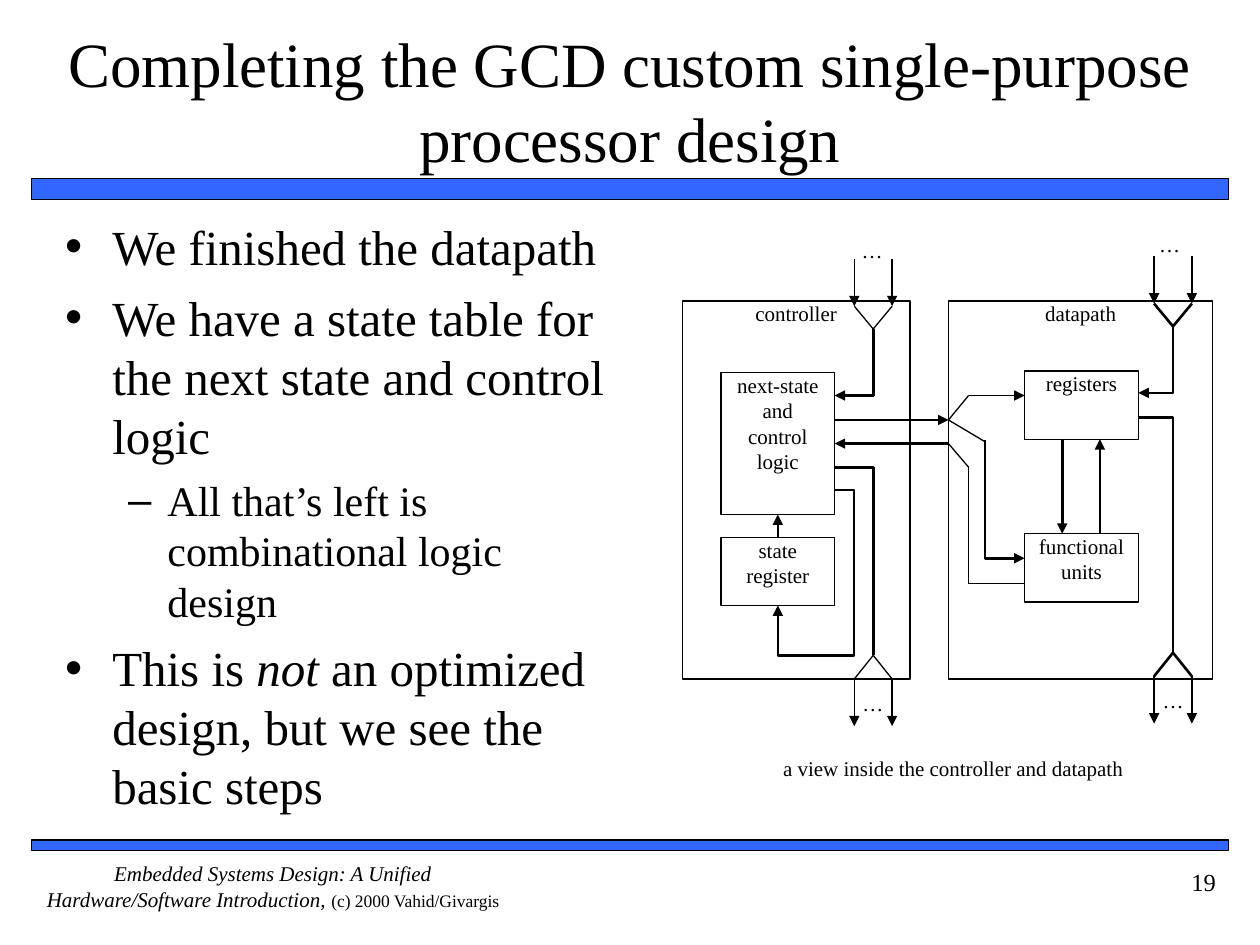
"""Build the slide on completing the GCD custom single-purpose processor design."""

from dataclasses import dataclass

import lxml.etree
import pptx
import pptx.dml.color
import pptx.enum.shapes
import pptx.enum.text
import pptx.oxml.ns
import pptx.util

Pt = pptx.util.Pt
ALIGN = pptx.enum.text.PP_ALIGN
ANCHOR = pptx.enum.text.MSO_ANCHOR
COLORS = {"ink": "000000", "bar": "3366FF"}
FONT = "Times New Roman"
THIN, MEDIUM, THICK = 0.75, 1.25, 1.5
PORT_HALF_WIDTH = 10.8
PORT_ARROW = 27


@dataclass(frozen=True)
class Area:
    left: float
    top: float
    width: float
    height: float


@dataclass(frozen=True)
class Block:
    text: str
    area: Area


@dataclass(frozen=True)
class Wire:
    points: tuple[tuple[float, float], ...]
    weight: float = THICK
    arrow: bool = False


@dataclass(frozen=True)
class Port:
    center: float
    apex: float
    base: float
    weight: float
    incoming: bool


@dataclass(frozen=True)
class Span:
    text: str
    size: float
    italic: bool = False


@dataclass(frozen=True)
class Bullet:
    spans: tuple[Span, ...]
    level: int = 0


@dataclass(frozen=True)
class BulletStyle:
    character: str
    margin: float
    indent: float
    space_before: float


BULLET_STYLES = (BulletStyle("•", 27, -27, 7), BulletStyle("–", 58.5, -22.5, 6))

BULLETS = (
    Bullet((Span("We finished the datapath", 28),)),
    Bullet((Span("We have a state table for the next state and control logic", 28),)),
    Bullet((Span("All that’s left is combinational logic design", 24),), 1),
    Bullet((
        Span("This is ", 28),
        Span("not", 28, True),
        Span(" an optimized design, but we see the basic steps", 28),
    )),
)

FOOTER = (
    Span("Embedded Systems Design: A Unified Hardware/Software Introduction, ", 12, True),
    Span("(c) 2000 Vahid/Givargis", 10),
)

BARS = (Area(18, 102, 684, 12), Area(18, 480, 684, 6))

LABELS = (
    Block("…", Area(487.5, 135.5, 21.6, 20)),
    Block("…", Area(657.5, 132.5, 21.6, 20)),
    Block("…", Area(488, 394.5, 21.6, 20)),
    Block("…", Area(659.5, 393, 21.6, 20)),
    Block("a view inside the controller and datapath", Area(396, 431.5, 297.5, 31)),
)

BLOCKS = (
    Block("controller", Area(390, 172, 130, 216)),
    Block("datapath", Area(542, 172, 151, 216)),
    Block("registers", Area(585.5, 212, 65, 39)),
    Block("functional\nunits", Area(585.5, 305, 65, 39)),
)
STATE_REGISTER = Block("state\nregister", Area(412, 307, 65, 39))
NEXT_STATE = Block("next-state\nand\ncontrol\nlogic", Area(412, 213, 65, 81))

PORTS = (
    Port(499, 188, 175, THIN, True),
    Port(499, 374.5, 388, THIN, False),
    Port(670.3, 186.5, 173.5, THICK, True),
    Port(670.3, 373, 386.5, THICK, False),
)

WIRES = (
    Wire(((477, 240), (542, 240)), arrow=True),
    Wire(((542, 253.5), (477, 253.5)), arrow=True),
    Wire(((477, 280), (488, 280), (488, 374.5), (444.5, 374.5), (444.5, 346)), arrow=True),
    Wire(((477, 267), (499, 267), (499, 374.5))),
    Wire(((499, 188), (499, 226), (477, 226)), arrow=True),
    Wire(((607, 251), (607, 305)), arrow=True),
    Wire(((628.5, 305), (628.5, 251)), arrow=True),
    Wire(((670.3, 186.5), (670.3, 224.5), (650.5, 224.5)), arrow=True),
    Wire(((650.5, 238.5), (670.3, 238.5), (670.3, 373))),
    Wire(((542, 240), (553.5, 226)), THIN),
    Wire(((542, 240), (563, 252.5)), THIN),
    Wire(((553.5, 226), (585.5, 226)), THIN, True),
    Wire(((563, 251.5), (563, 319), (585.5, 319)), arrow=True),
    Wire(((585.5, 333.5), (553.5, 333.5), (553.5, 266)), THIN),
    Wire(((553.5, 267), (542, 253.5)), THIN),
)


def color(name: str) -> pptx.dml.color.RGBColor:
    """Return a named colour."""
    return pptx.dml.color.RGBColor.from_string(COLORS[name])


def place(shape, area: Area) -> None:
    """Move and size a shape."""
    shape.left, shape.top = Pt(area.left), Pt(area.top)
    shape.width, shape.height = Pt(area.width), Pt(area.height)


def format_run(run, size: float, italic: bool = False) -> None:
    """Set the font of a run."""
    run.font.name, run.font.size, run.font.italic = FONT, Pt(size), italic
    run.font.color.rgb = color("ink")


def add_spans(paragraph, spans: tuple[Span, ...]) -> None:
    """Append formatted runs to a paragraph."""
    for span in spans:
        run = paragraph.add_run()
        run.text = span.text
        format_run(run, span.size, span.italic)


def set_frame(text_frame, anchor=ANCHOR.TOP, horizontal: float = 0, vertical: float = 0) -> None:
    """Set wrapping, anchor and margins of a text frame."""
    text_frame.word_wrap = True
    text_frame.auto_size = pptx.enum.text.MSO_AUTO_SIZE.NONE
    text_frame.vertical_anchor = anchor
    text_frame.margin_left = text_frame.margin_right = Pt(horizontal)
    text_frame.margin_top = text_frame.margin_bottom = Pt(vertical)


def set_text(shape, text: str, size: float = 12, alignment=ALIGN.CENTER) -> None:
    """Fill a shape with evenly formatted paragraphs."""
    shape.text_frame.text = text
    for paragraph in shape.text_frame.paragraphs:
        paragraph.alignment = alignment
        for run in paragraph.runs:
            format_run(run, size)


def set_line(shape, weight: float, arrow: bool = False) -> None:
    """Set the outline and an optional arrowhead at its end."""
    shape.line.width = Pt(weight)
    shape.line.color.rgb = color("ink")
    if arrow:
        lxml.etree.SubElement(shape.get_or_add_ln(), pptx.oxml.ns.qn("a:tailEnd"), type="triangle")


def add_text_box(slide, area: Area):
    """Add a wrapping text box."""
    shape = slide.shapes.add_textbox(Pt(area.left), Pt(area.top), Pt(area.width), Pt(area.height))
    set_frame(shape.text_frame)
    return shape


def add_rectangle(slide, area: Area, weight: float, fill: str = ""):
    """Add an outlined rectangle, filled when a colour is named."""
    shape = slide.shapes.add_shape(
        pptx.enum.shapes.MSO_SHAPE.RECTANGLE,
        Pt(area.left), Pt(area.top), Pt(area.width), Pt(area.height),
    )
    shape.shadow.inherit = False
    if fill:
        shape.fill.solid()
        shape.fill.fore_color.rgb = color(fill)
    else:
        shape.fill.background()
    set_line(shape, weight)
    return shape


def add_block(slide, block: Block):
    """Add a labelled block of the diagram."""
    shape = add_rectangle(slide, block.area, THIN)
    set_frame(shape.text_frame)
    set_text(shape, block.text)
    return shape


def add_wire(slide, wire: Wire):
    """Add a straight connector or a bent open outline."""
    points = [(Pt(x), Pt(y)) for x, y in wire.points]
    if len(points) == 2:
        shape = slide.shapes.add_connector(
            pptx.enum.shapes.MSO_CONNECTOR.STRAIGHT, *points[0], *points[1])
        set_line(shape, wire.weight, wire.arrow)
        lxml.etree.SubElement(shape._element.spPr, pptx.oxml.ns.qn("a:effectLst"))
        return shape
    builder = slide.shapes.build_freeform(*points[0])
    builder.add_line_segments(points[1:], close=False)
    shape = builder.convert_to_shape()
    shape.shadow.inherit = False
    shape.fill.background()
    set_line(shape, wire.weight, wire.arrow)
    return shape


def add_port(slide, port: Port) -> None:
    """Add a pair of arrows that meet at an apex inside a block."""
    for x in (port.center - PORT_HALF_WIDTH, port.center + PORT_HALF_WIDTH):
        start = port.base - PORT_ARROW if port.incoming else port.base
        add_wire(slide, Wire(((x, start), (x, start + PORT_ARROW)), port.weight, True))
        add_wire(slide, Wire(((x, port.base), (port.center, port.apex)), port.weight))


def add_bullets(text_frame) -> None:
    """Fill the body with the bulleted list."""
    for index, bullet in enumerate(BULLETS):
        paragraph = text_frame.add_paragraph() if index else text_frame.paragraphs[0]
        style = BULLET_STYLES[bullet.level]
        paragraph.level = bullet.level
        properties = paragraph._p.get_or_add_pPr()
        properties.set("marL", str(Pt(style.margin)))
        properties.set("indent", str(Pt(style.indent)))
        lxml.etree.SubElement(properties, pptx.oxml.ns.qn("a:buChar"), char=style.character)
        paragraph.space_before = Pt(style.space_before if index else 0)
        add_spans(paragraph, bullet.spans)


def main() -> None:
    """Build and save the slide."""
    presentation = pptx.Presentation()
    presentation.slide_width, presentation.slide_height = Pt(720), Pt(540)
    slide = presentation.slides.add_slide(presentation.slide_layouts[1])

    title, body = slide.shapes.title, slide.placeholders[1]
    place(title, Area(30, 12, 660, 90))
    set_frame(title.text_frame, ANCHOR.MIDDLE, 0, 3.6)
    set_text(title, "Completing the GCD custom single-purpose processor design", 36)
    place(body, Area(30, 120, 328, 354))
    set_frame(body.text_frame, ANCHOR.TOP, 7.2, 3.6)
    add_bullets(body.text_frame)

    for area in BARS:
        add_rectangle(slide, area, 1, "bar")
    footer = add_text_box(slide, Area(18, 492, 276, 36)).text_frame.paragraphs[0]
    footer.alignment = ALIGN.CENTER
    add_spans(footer, FOOTER)
    number = add_text_box(slide, Area(630, 492, 72, 36))
    set_frame(number.text_frame, ANCHOR.TOP, 7.2, 3.6)
    set_text(number, "19", 14, ALIGN.RIGHT)

    for label in LABELS:
        set_text(add_text_box(slide, label.area), label.text)
    for block in BLOCKS:
        add_block(slide, block)
    state_register = add_block(slide, STATE_REGISTER)
    next_state = add_block(slide, NEXT_STATE)
    for port in PORTS:
        add_port(slide, port)
    for wire in WIRES:
        add_wire(slide, wire)
    feedback = add_wire(slide, Wire(((444.5, 307), (444.5, 294)), MEDIUM, True))
    feedback.begin_connect(state_register, 0)
    feedback.end_connect(next_state, 2)

    presentation.save("out.pptx")


if __name__ == "__main__":
    main()
